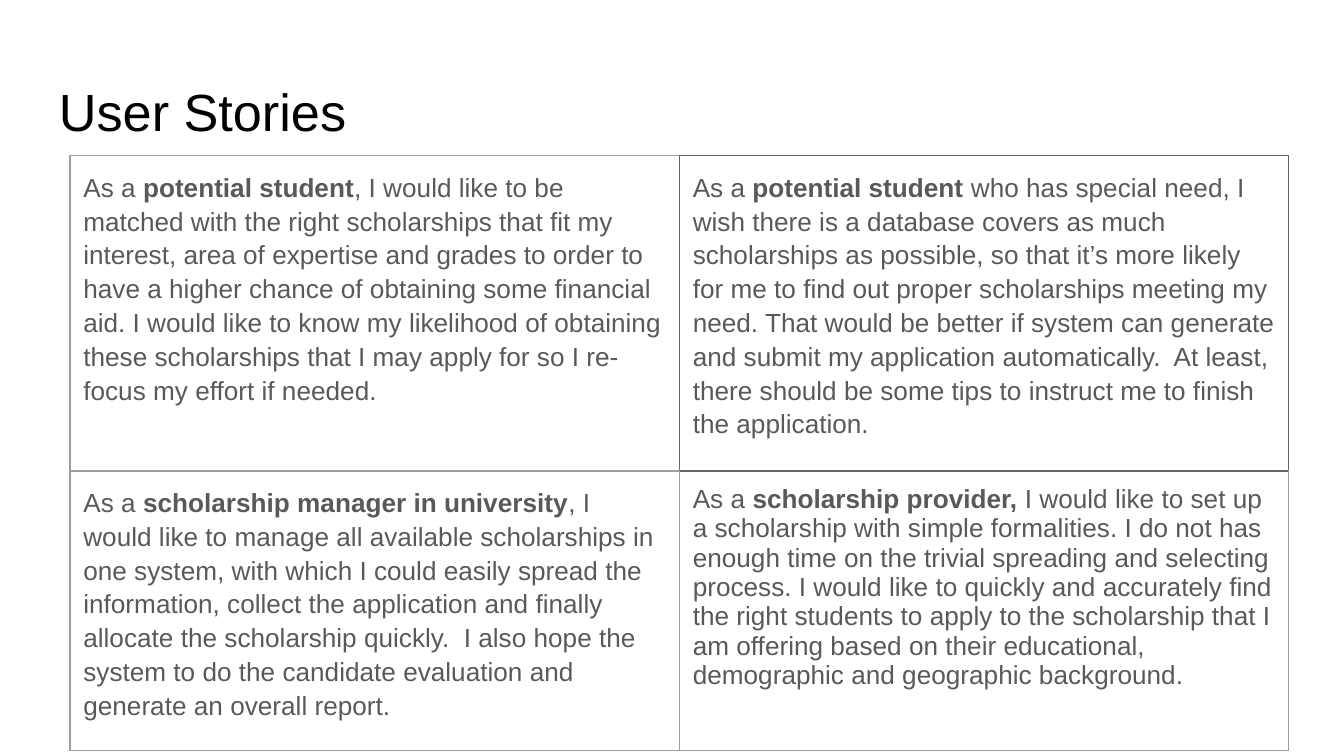
from lxml import etree
from pptx import Presentation
from pptx.dml.color import RGBColor
from pptx.enum.text import MSO_ANCHOR
from pptx.oxml.ns import qn
from pptx.util import Inches, Pt

TOP = MSO_ANCHOR.TOP
WIDTH = Inches(10)
HEIGHT = WIDTH * 9 // 16
MARGIN = Inches(0.1)
ROW_HEIGHTS = (Inches(2.21), Inches(2.04))
FONT = "Arial"
COLORS = {"title": "000000", "body": "595959", "light": "9E9E9E", "dark": "666666"}
SIDES = ("L", "R", "T", "B")

STORIES = [
    [
        {
            "runs": ("As a ", "potential student",
                     ", I would like to be matched with the right scholarships that fit my "
                     "interest, area of expertise and grades to order to have a higher chance "
                     "of obtaining some financial aid. I would like to know my likelihood of "
                     "obtaining these scholarships that I may apply for so I re-focus my "
                     "effort if needed."),
            "spacing": 1.15, "after": 16, "borders": ("light", "dark", "light", "light"),
        },
        {
            "runs": ("As a", " potential student ",
                     "who has special need, I wish there is a database covers as much "
                     "scholarships as possible, so that it’s more likely for me to find out "
                     "proper scholarships meeting my need. That would be better if system can "
                     "generate and submit my application automatically.  At least, there "
                     "should be some tips to instruct me to finish the application."),
            "spacing": 1.15, "after": 0, "borders": ("dark",) * 4,
        },
    ],
    [
        {
            "runs": ("As a ", "scholarship manager in university",
                     ", I would like to manage all available scholarships in one system, with "
                     "which I could easily spread the information, collect the application "
                     "and finally allocate the scholarship quickly.  I also hope the system "
                     "to do the candidate evaluation and generate an overall report."),
            "spacing": 1.15, "after": 0, "borders": ("light",) * 4,
        },
        {
            "runs": ("As a ", "scholarship provider,",
                     " I would like to set up a scholarship with simple formalities. I do not "
                     "has enough time on the trivial spreading and selecting process. I would "
                     "like to quickly and accurately find the right students to apply to the "
                     "scholarship that I am offering based on their educational, demographic "
                     "and geographic background. "),
            "spacing": 1.0, "after": 0, "borders": ("light", "light", "dark", "light"),
        },
    ],
]


def set_font(paragraph, size, color):
    """Set the typeface, size and colour of a whole paragraph."""
    paragraph.font.name = FONT
    paragraph.font.size = Pt(size)
    paragraph.font.color.rgb = RGBColor.from_string(COLORS[color])


def set_margins(holder):
    """Give a cell or text frame equal margins on all sides."""
    holder.margin_left = holder.margin_right = MARGIN
    holder.margin_top = holder.margin_bottom = MARGIN


def add_title(slide, text):
    """Add the slide heading."""
    shape = slide.shapes.add_textbox(
        Inches(0.34), Inches(0.49), Inches(9.32), Inches(0.63))
    frame = shape.text_frame
    frame.word_wrap = True
    frame.vertical_anchor = TOP
    set_margins(frame)
    frame.text = text
    set_font(frame.paragraphs[0], 28, "title")


def set_borders(cell, colors):
    """Draw the four cell borders, given left, right, top, bottom."""
    properties = cell._tc.get_or_add_tcPr()
    for side, color in zip(SIDES, colors):
        line = etree.SubElement(properties, qn(f"a:ln{side}"), w=str(Pt(0.75)))
        fill = etree.SubElement(line, qn("a:solidFill"))
        etree.SubElement(fill, qn("a:srgbClr"), val=COLORS[color])


def fill_cell(cell, story):
    """Write one user story with its role in bold."""
    set_margins(cell)
    cell.vertical_anchor = TOP
    set_borders(cell, story["borders"])
    cell.fill.background()
    paragraph = cell.text_frame.paragraphs[0]
    paragraph.line_spacing = story["spacing"]
    paragraph.space_after = Pt(story["after"])
    set_font(paragraph, 14, "body")
    for index, text in enumerate(story["runs"]):
        run = paragraph.add_run()
        run.text = text
        run.font.bold = index == 1


def add_story_table(slide, stories):
    """Add the grid of user stories."""
    table = slide.shapes.add_table(
        len(stories), len(stories[0]), Inches(0.52), Inches(1.16),
        Inches(9.07), sum(ROW_HEIGHTS)).table
    table.first_row = table.horz_banding = False
    for row, row_stories in enumerate(stories):
        table.rows[row].height = ROW_HEIGHTS[row]
        for column, story in enumerate(row_stories):
            fill_cell(table.cell(row, column), story)


def main():
    """Build and save the user stories slide."""
    presentation = Presentation()
    presentation.slide_width, presentation.slide_height = WIDTH, HEIGHT
    slide = presentation.slides.add_slide(presentation.slide_layouts[6])
    add_title(slide, "User Stories")
    add_story_table(slide, STORIES)
    presentation.save("out.pptx")


main()
